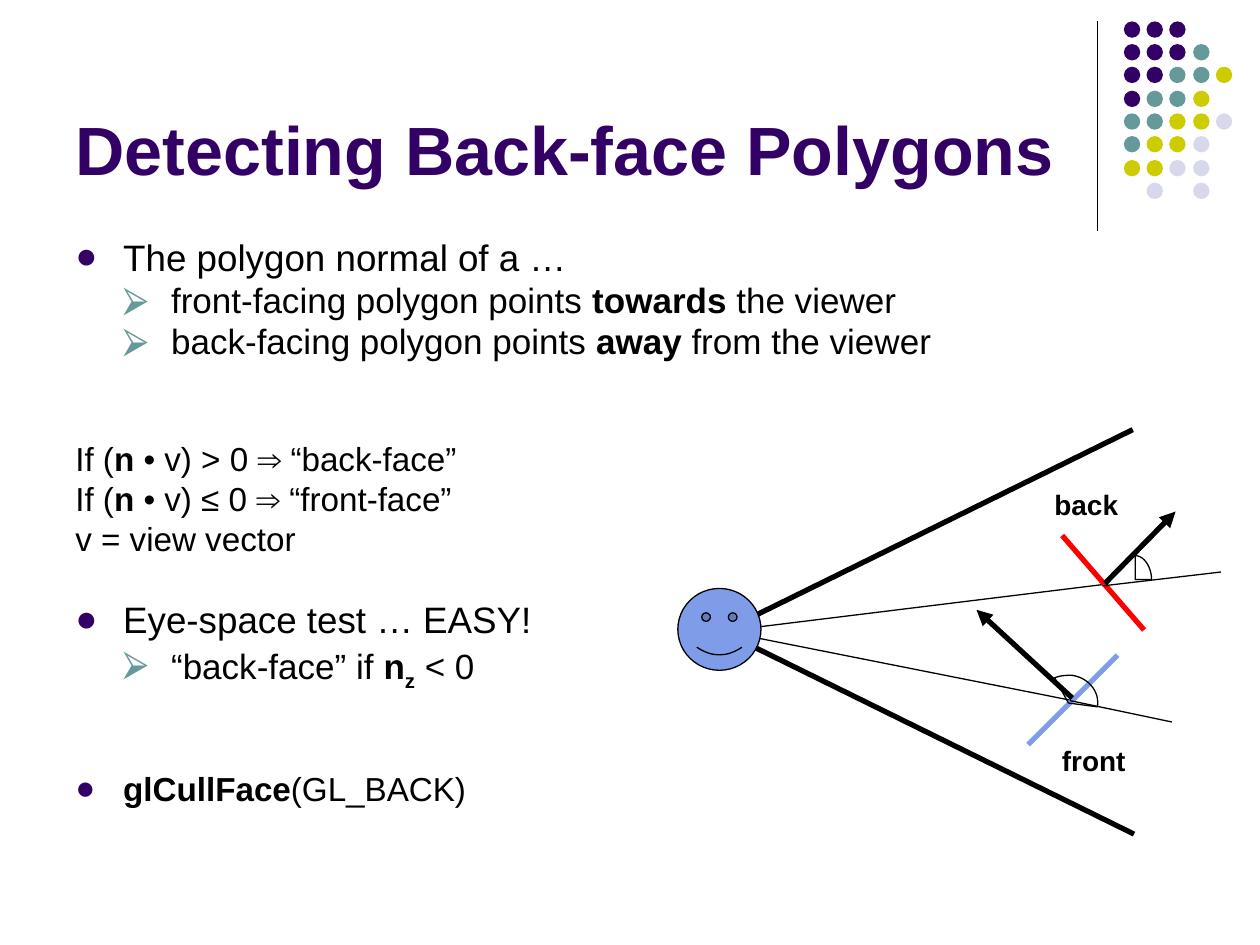
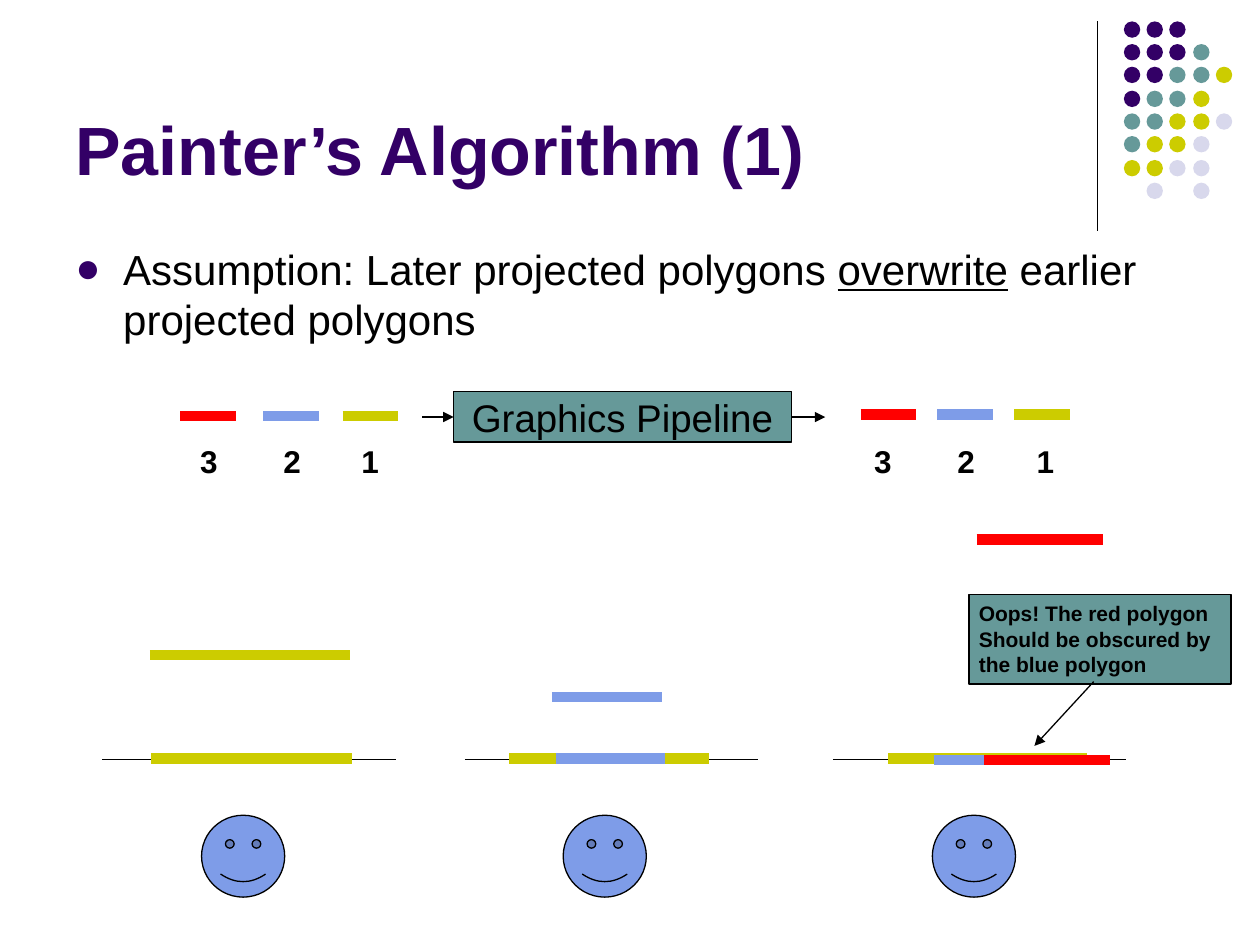
from typing import NamedTuple

from lxml import etree
from pptx import Presentation
from pptx.dml.color import RGBColor
from pptx.enum.shapes import MSO_CONNECTOR, MSO_SHAPE
from pptx.enum.text import MSO_ANCHOR, PP_ALIGN
from pptx.oxml.ns import qn
from pptx.util import Pt

PX = 9144  # EMU in one px, at 100 px to the inch
FONT = "Arial"
THIN, BOLD, BAR = 0.75, 3, 6
OVAL, RECT, SMILE = MSO_SHAPE.OVAL, MSO_SHAPE.RECTANGLE, MSO_SHAPE.SMILEY_FACE
STRAIGHT = MSO_CONNECTOR.STRAIGHT
TOP, MIDDLE, BOTTOM = MSO_ANCHOR.TOP, MSO_ANCHOR.MIDDLE, MSO_ANCHOR.BOTTOM
LEFT, CENTER = PP_ALIGN.LEFT, PP_ALIGN.CENTER
INDENT = 38

COLORS = {
    "purple": "330066",
    "teal": "669999",
    "yellow": "CCCC00",
    "pale": "D8D8EC",
    "blue": "7E9CE8",
    "red": "FF0000",
    "black": "000000",
}
DOTS = ("PPP", "PPPT", "PPTTY", "PTTY", "TTYYL", "TYYL", "YYLL", " L L")
DOT_KEYS = {"P": "purple", "T": "teal", "Y": "yellow", "L": "pale"}
BULLETS = {0: ("●", "purple"), 1: ("⮚", "teal")}


class Box(NamedTuple):
    x: int
    y: int
    w: int
    h: int


class Line(NamedTuple):
    x1: int
    y1: int
    x2: int
    y2: int
    color: str = "black"
    width: float = THIN
    arrow: bool = False


class Run(NamedTuple):
    """Style letters: b bold, u underlined, s subscript."""
    text: str
    style: str = ""


class Para(NamedTuple):
    runs: tuple[Run, ...]
    size: float
    level: int = 0
    before: float = 0
    bullet: bool = True
    spacing: float = 0.8


class Bar(NamedTuple):
    x: int
    y: int
    w: int
    color: str


class View(NamedTuple):
    """One viewer below a screen line, with the polygons above it."""
    screen: int
    face: int
    bars: tuple[Bar, ...]


TITLE = Box(50, 13, 825, 142)
BODY = Box(50, 188, 900, 482)

FACING = (
    Para((Run("The polygon normal of a …"),), 21),
    Para((Run("front-facing polygon points "), Run("towards", "b"),
          Run(" the viewer")), 20, 1, 4.6),
    Para((Run("back-facing polygon points "), Run("away", "b"),
          Run(" from the viewer")), 20, 1, 4.6),
    Para((Run("If ("), Run("n", "b"), Run(" • v) > 0 ⇒ “back-face”")),
         19, 0, 48, False),
    Para((Run("If ("), Run("n", "b"), Run(" • v) ≤ 0 ⇒ “front-face”")),
         19, 0, 4.8, False),
    Para((Run("v = view vector"),), 19, 0, 4.8, False),
    Para((Run("Eye-space test … EASY!"),), 21, 0, 27),
    Para((Run("“back-face” if "), Run("n", "b"), Run("z", "bs"),
          Run(" < 0")), 20, 1, 4.6),
    Para((Run("glCullFace", "b"), Run("(GL_BACK)")), 19, 0, 51),
)
PAINTER = (
    Para((Run("Assumption: Later projected polygons "), Run("overwrite", "u"),
          Run(" earlier projected polygons")), 24, spacing=1),
)

SIGHT = (
    Line(574, 501, 875, 464),
    Line(574, 501, 851, 556),
    Line(575, 502, 900, 662, width=BOLD),
    Line(574, 501, 899, 341, width=BOLD),
)
FACES = (
    Line(816, 591, 887, 520, "blue", BOLD),
    Line(843, 425, 908, 500, "red", BOLD),
    Line(851, 554, 775, 484, "black", BOLD, True),
    Line(877, 463, 933, 406, "black", BOLD, True),
    Line(875, 465, 969, 454),
    Line(849, 556, 930, 573),
)
QUEUE = (("3", "red"), ("2", "blue"), ("1", "yellow"))
# bar lefts, bar height, label lefts: before and after the pipeline
STAGES = (((143, 209, 272), 330, (149, 215, 277)),
          ((683, 744, 805), 329, (684, 750, 813)))
VIEWS = (
    View(81, 160, (Bar(119, 520, 159, "yellow"), Bar(120, 602, 159, "yellow"))),
    View(369, 447, (Bar(438, 553, 87, "blue"), Bar(404, 602, 159, "yellow"),
                    Bar(441, 602, 87, "blue"))),
    View(661, 740, (Bar(705, 602, 158, "yellow"), Bar(741, 603, 87, "blue"),
                    Bar(775, 428, 100, "red"), Bar(781, 603, 100, "red"))),
)


def rgb(name: str) -> RGBColor:
    return RGBColor.from_string(COLORS[name])


def emu(*sizes: int) -> list[int]:
    return [size * PX for size in sizes]


def edge(shape, color: str = "black", width: float = THIN) -> None:
    shape.line.color.rgb = rgb(color)
    shape.line.width = Pt(width)


def draw_shape(slide, kind, box: Box, fill: str, lined: bool = True):
    shape = slide.shapes.add_shape(kind, *emu(*box))
    shape.shadow.inherit = False
    shape.fill.solid()
    shape.fill.fore_color.rgb = rgb(fill)
    if lined:
        edge(shape)
    else:
        shape.line.fill.background()
    return shape


def draw_line(slide, line: Line):
    link = slide.shapes.add_connector(STRAIGHT, *emu(*line[:4]))
    edge(link, line.color, line.width)
    props = link._element.spPr
    etree.SubElement(props, qn("a:effectLst"))
    if line.arrow:
        etree.SubElement(props.find(qn("a:ln")), qn("a:tailEnd"), type="triangle")
    return link


def draw_bar(slide, bar: Bar) -> None:
    draw_line(slide, Line(bar.x, bar.y, bar.x + bar.w, bar.y, bar.color, BAR))


def draw_face(slide, x: int, y: int) -> None:
    draw_shape(slide, SMILE, Box(x, y, 66, 65), "blue")


def style(run, size: float, color: str = "black", marks: str = "") -> None:
    font = run.font
    font.name, font.size = FONT, Pt(size)
    font.color.rgb = rgb(color)
    font.bold = "b" in marks
    font.underline = "u" in marks
    if "s" in marks:
        run._r.get_or_add_rPr().set("baseline", "-25000")


def write(frame, text: str, size: float, color: str = "black",
          marks: str = "", align=LEFT, anchor=TOP) -> None:
    frame.text = text
    frame.vertical_anchor = anchor
    for para in frame.paragraphs:
        para.alignment = align
        for run in para.runs:
            style(run, size, color, marks)


def add_box(slide, box: Box, wrap: bool = True):
    frame = slide.shapes.add_textbox(*emu(*box)).text_frame
    frame.word_wrap = wrap
    return frame


def label(slide, box: Box, text: str, size: float) -> None:
    write(add_box(slide, box, False), text, size, marks="b")


def set_bullet(para, item: Para) -> None:
    props = para._p.get_or_add_pPr()
    props.set("marL", str(INDENT * (item.level + 1) * PX))
    props.set("indent", str(-INDENT * PX))
    if not item.bullet:
        etree.SubElement(props, qn("a:buNone"))
        return
    sign, color = BULLETS[item.level]
    tint = etree.SubElement(props, qn("a:buClr"))
    etree.SubElement(tint, qn("a:srgbClr"), val=COLORS[color])
    etree.SubElement(props, qn("a:buFont"), typeface=FONT)
    etree.SubElement(props, qn("a:buChar"), char=sign)


def fill_body(slide, items: tuple[Para, ...]) -> None:
    frame = add_box(slide, BODY)
    for i, item in enumerate(items):
        para = frame.add_paragraph() if i else frame.paragraphs[0]
        set_bullet(para, item)
        para.level = item.level
        para.line_spacing = item.spacing
        para.space_before = Pt(item.before)
        for part in item.runs:
            run = para.add_run()
            run.text = part.text
            style(run, item.size, marks=part.style)


def curve(a, b, c, d, steps: int = 16) -> list[tuple[float, float]]:
    """Points along a cubic Bezier curve."""
    points = []
    for i in range(steps + 1):
        t = i / steps
        u = 1 - t
        points.append(tuple(u**3 * p + 3 * u * u * t * q + 3 * u * t * t * r + t**3 * s
                            for p, q, r, s in zip(a, b, c, d)))
    return points


def draw_angle(slide, points: list[tuple[float, float]]) -> None:
    spots = [(x * PX, y * PX) for x, y in points]
    pen = slide.shapes.build_freeform(*spots[0], scale=1.0)
    pen.add_line_segments(spots[1:], close=True)
    shape = pen.convert_to_shape()
    shape.shadow.inherit = False
    shape.fill.background()
    edge(shape)


def new_slide(deck, title: str):
    """Blank slide with the dot pattern, side rule and title."""
    slide = deck.slides.add_slide(deck.slide_layouts[6])
    draw_line(slide, Line(871, 17, 871, 183))
    for row, keys in enumerate(DOTS):
        for col, key in enumerate(keys):
            if key in DOT_KEYS:
                spot = Box(892 + 55 * col // 3, 17 + 55 * row // 3, 13, 13)
                draw_shape(slide, OVAL, spot, DOT_KEYS[key], False)
    write(add_box(slide, TITLE), title, 39, "purple", "b", anchor=BOTTOM)
    return slide


def build_facing(deck) -> None:
    slide = new_slide(deck, "Detecting Back-face Polygons")
    for line in SIGHT:
        draw_line(slide, line)
    fill_body(slide, FACING)
    draw_face(slide, 538, 467)
    for line in FACES:
        draw_line(slide, line)
    wide = curve((871, 561), (873, 549), (864, 538), (851, 536))
    wide += curve((851, 536), (846, 536), (842, 536), (837, 538))[1:]
    draw_angle(slide, wide + [(848, 558)])
    slim = curve((901, 441), (908, 441), (914, 450), (914, 460))
    draw_angle(slide, slim + [(901, 460)])
    label(slide, Box(827, 382, 71, 37), "back", 16)
    label(slide, Box(833, 585, 71, 37), "front", 16)


def build_painter(deck) -> None:
    slide = new_slide(deck, "Painter’s Algorithm (1)")
    fill_body(slide, PAINTER)
    pipe = draw_shape(slide, RECT, Box(360, 311, 268, 40), "teal")
    write(pipe.text_frame, "Graphics Pipeline", 22, align=CENTER, anchor=MIDDLE)
    draw_line(slide, Line(335, 331, 360, 331, arrow=True)).end_connect(pipe, 1)
    draw_line(slide, Line(628, 331, 655, 331, arrow=True)).begin_connect(pipe, 3)
    for lefts, y, marks in STAGES:
        for (number, color), x, mark in zip(QUEUE, lefts, marks):
            draw_bar(slide, Bar(x, y, 44, color))
            label(slide, Box(mark, 346, 34, 40), number, 18)
    for view in VIEWS:
        draw_line(slide, Line(view.screen, 603, view.screen + 233, 603))
        draw_face(slide, view.face, 647)
        for bar in view.bars:
            draw_bar(slide, bar)
    draw_shape(slide, RECT, Box(769, 472, 208, 71), "teal")
    label(slide, Box(767, 472, 208, 70),
          "Oops! The red polygon\nShould be obscured by\nthe blue polygon", 12)
    draw_line(slide, Line(868, 541, 821, 592, arrow=True))


def main() -> None:
    deck = Presentation()
    deck.slide_width, deck.slide_height = emu(1000, 750)
    build_facing(deck)
    build_painter(deck)
    deck.save("out.pptx")


if __name__ == "__main__":
    main()
